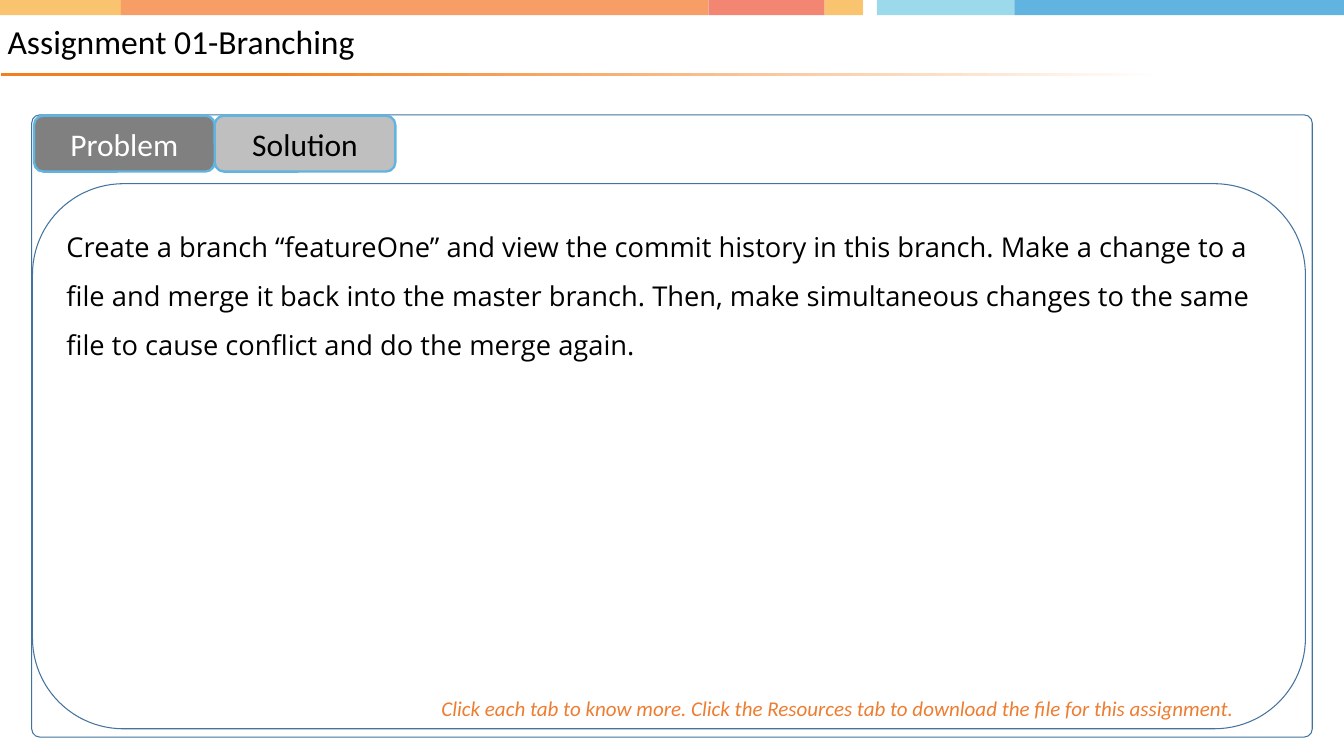
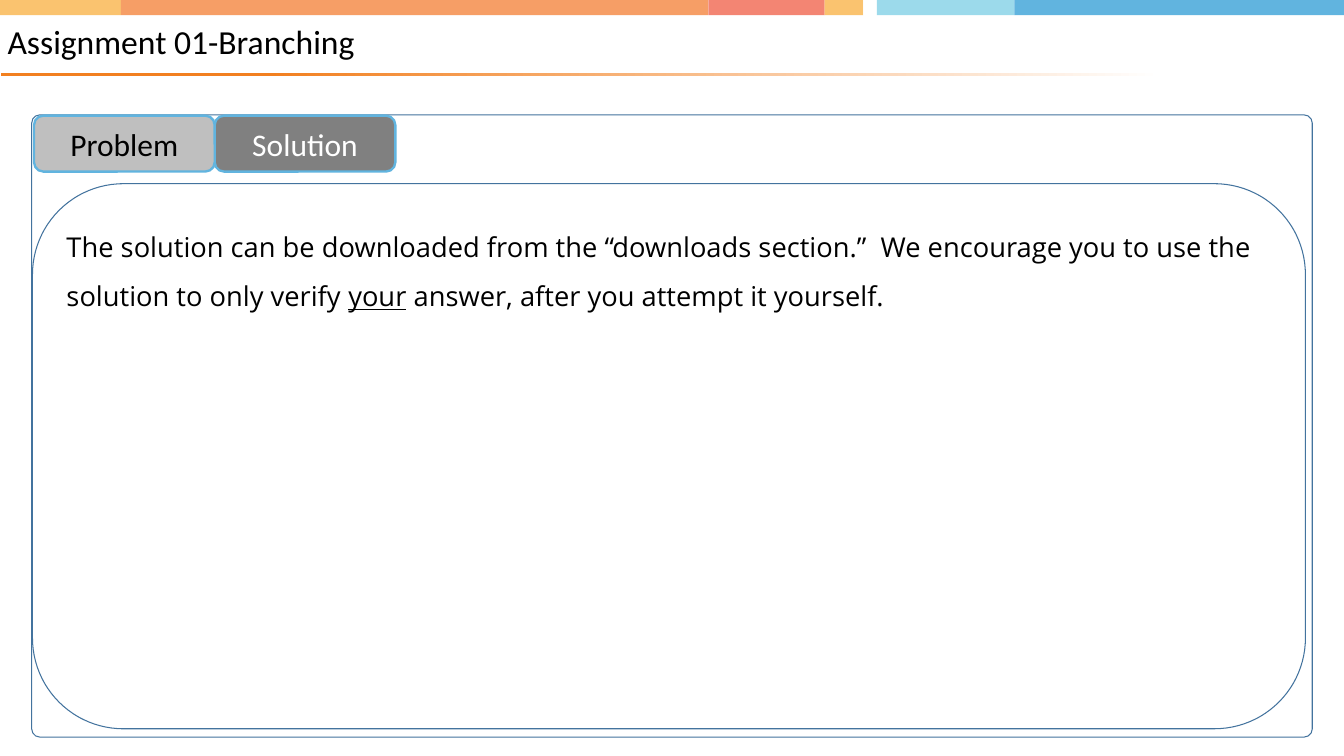
import itertools

import pptx
import pptx.dml.color
import pptx.enum.shapes
import pptx.enum.text
import pptx.util

Inches = pptx.util.Inches
Pt = pptx.util.Pt
SHAPE = pptx.enum.shapes.MSO_SHAPE
ANCHOR = pptx.enum.text.MSO_ANCHOR
ALIGN = pptx.enum.text.PP_ALIGN

COLORS = {
    "black": "000000",
    "white": "FFFFFF",
    "amber": "FAC36F",
    "orange": "F69E66",
    "coral": "F38573",
    "aqua": "9CDAEB",
    "sky": "61B4DF",
    "rule": "F28020",
    "frame": "43739E",
    "hint": "ED7D31",
    "tab": "BFBFBF",
    "active_tab": "808080",
}
HEAD_FONT = "Calibri"
BODY_FONT = "Open Sans"

# Top strip: edges of the bands and the colour between each pair
BAND_EDGES = [0, 1.6, 9.37, 10.91, 11.42, 11.6, 13.42, 17.78]
BAND_COLORS = ["amber", "orange", "coral", "amber", "white", "aqua", "sky"]

TITLE = "Assignment 01-Branching"
TABS = ["Problem", "Solution"]
TAB_LEFT, TAB_TOP, TAB_WIDTH, TAB_HEIGHT = 0.45, 1.53, 2.39, 0.74
HINT = ("Click each tab to know more. Click the Resources tab to download "
        "the file for this assignment.")

# Each slide: active tab, text runs as (text, underlined), hint
SLIDES = [
    ("Problem",
     [("Create a branch “featureOne” and view the commit history in this branch. "
       "Make a change to a file and merge it back into the master branch. Then, "
       "make simultaneous changes to the same file to cause conflict and do the "
       "merge again.", False)],
     HINT),
    ("Solution",
     [("The solution can be downloaded from the “downloads section.”  We encourage "
       "you to use the solution to only verify ", False),
      ("your", True),
      (" answer, after you attempt it yourself.", False)],
     None),
]


def rgb(name):
    return pptx.dml.color.RGBColor.from_string(COLORS[name])


def add_run(p, text, size, color="black", font=HEAD_FONT):
    r = p.add_run()
    r.text = text
    r.font.size = Pt(size)
    r.font.name = font
    r.font.color.rgb = rgb(color)
    return r


def add_box(s, kind, x, y, w, h, fill=None, line=None, line_width=1):
    sp = s.shapes.add_shape(kind, Inches(x), Inches(y), Inches(w), Inches(h))
    sp.shadow.inherit = False
    if fill:
        sp.fill.solid()
        sp.fill.fore_color.rgb = rgb(fill)
    else:
        sp.fill.background()
    if line:
        sp.line.color.rgb = rgb(line)
        sp.line.width = Pt(line_width)
    else:
        sp.line.fill.background()
    return sp


def add_strip_and_rule(s):
    """Draw the colour bands and the fading rule; return their shapes."""
    parts = []
    for (left, right), color in zip(itertools.pairwise(BAND_EDGES), BAND_COLORS):
        parts.append(add_box(s, SHAPE.RECTANGLE, left, -0.01, right - left, 0.21, color))

    rule = add_box(s, SHAPE.RECTANGLE, 0.01, 0.96, 15.35, 0.04)
    rule.fill.gradient()
    rule.fill.gradient_angle = 0
    stops = [(0.23, "rule"), (1, "white")]
    for stop, (position, color) in zip(rule.fill.gradient_stops, stops):
        stop.position = position
        stop.color.rgb = rgb(color)
    return parts + [rule]


def move_to_layout(layout, parts):
    for sp in parts:
        layout.shapes.element.append(sp.element)


def place_layout_title(layout):
    title = next(ph for ph in layout.placeholders if ph.placeholder_format.idx == 0)
    title.left, title.top = Inches(0), Inches(0.21)
    title.width, title.height = Inches(14.55), Inches(0.73)


def set_title(s, text):
    tf = s.shapes.title.text_frame
    tf.auto_size = pptx.enum.text.MSO_AUTO_SIZE.NONE
    tf.word_wrap = True
    tf.vertical_anchor = ANCHOR.MIDDLE
    tf.margin_left = Inches(0.1)
    tf.margin_top = tf.margin_right = tf.margin_bottom = 0
    p = tf.paragraphs[0]
    p.alignment = ALIGN.LEFT
    p.line_spacing = 0.9
    p.space_before = Pt(13.3)
    add_run(p, text, 32)


def add_panel(s, runs):
    frame = add_box(s, SHAPE.ROUNDED_RECTANGLE, 0.42, 1.52, 16.94, 8.23, line="frame")
    frame.adjustments[0] = 0.013

    panel = add_box(s, SHAPE.ROUNDED_RECTANGLE, 0.43, 2.43, 16.84, 7.21, line="frame")
    tf = panel.text_frame
    tf.word_wrap = True
    tf.vertical_anchor = ANCHOR.TOP
    p = tf.paragraphs[0]
    p.alignment = ALIGN.LEFT
    p.line_spacing = 1.5
    for text, underlined in runs:
        r = add_run(p, text, 26, font=BODY_FONT)
        if underlined:
            r.font.underline = True


def add_hint(s, text):
    sp = s.shapes.add_textbox(Inches(5.74), Inches(9.15), Inches(11), Inches(0.44))
    tf = sp.text_frame
    tf.word_wrap = True
    tf.auto_size = pptx.enum.text.MSO_AUTO_SIZE.SHAPE_TO_FIT_TEXT
    r = add_run(tf.paragraphs[0], text, 20, "hint")
    r.font.italic = True


def add_tabs(s, active):
    # Right to left, so that the first tab lies on top
    for i, label in reversed(list(enumerate(TABS))):
        fill, color = ("active_tab", "white") if label == active else ("tab", "black")
        tab = add_box(s, SHAPE.ROUNDED_RECTANGLE, TAB_LEFT + i * TAB_WIDTH, TAB_TOP,
                      TAB_WIDTH, TAB_HEIGHT, fill, "sky", 2.25)
        tf = tab.text_frame
        tf.vertical_anchor = ANCHOR.MIDDLE
        p = tf.paragraphs[0]
        p.alignment = ALIGN.CENTER
        add_run(p, label, 30, color)


def main():
    prs = pptx.Presentation()
    prs.slide_width = Inches(17.78)
    prs.slide_height = Inches(10)
    layout = prs.slide_layouts.get_by_name("Title Only")
    place_layout_title(layout)

    for i, (active, runs, hint) in enumerate(SLIDES):
        s = prs.slides.add_slide(layout)
        if i == 0:
            # Shared decoration lives on the layout
            move_to_layout(layout, add_strip_and_rule(s))
        set_title(s, TITLE)
        add_panel(s, runs)
        if hint:
            add_hint(s, hint)
        add_tabs(s, active)

    prs.save("out.pptx")


if __name__ == "__main__":
    main()
